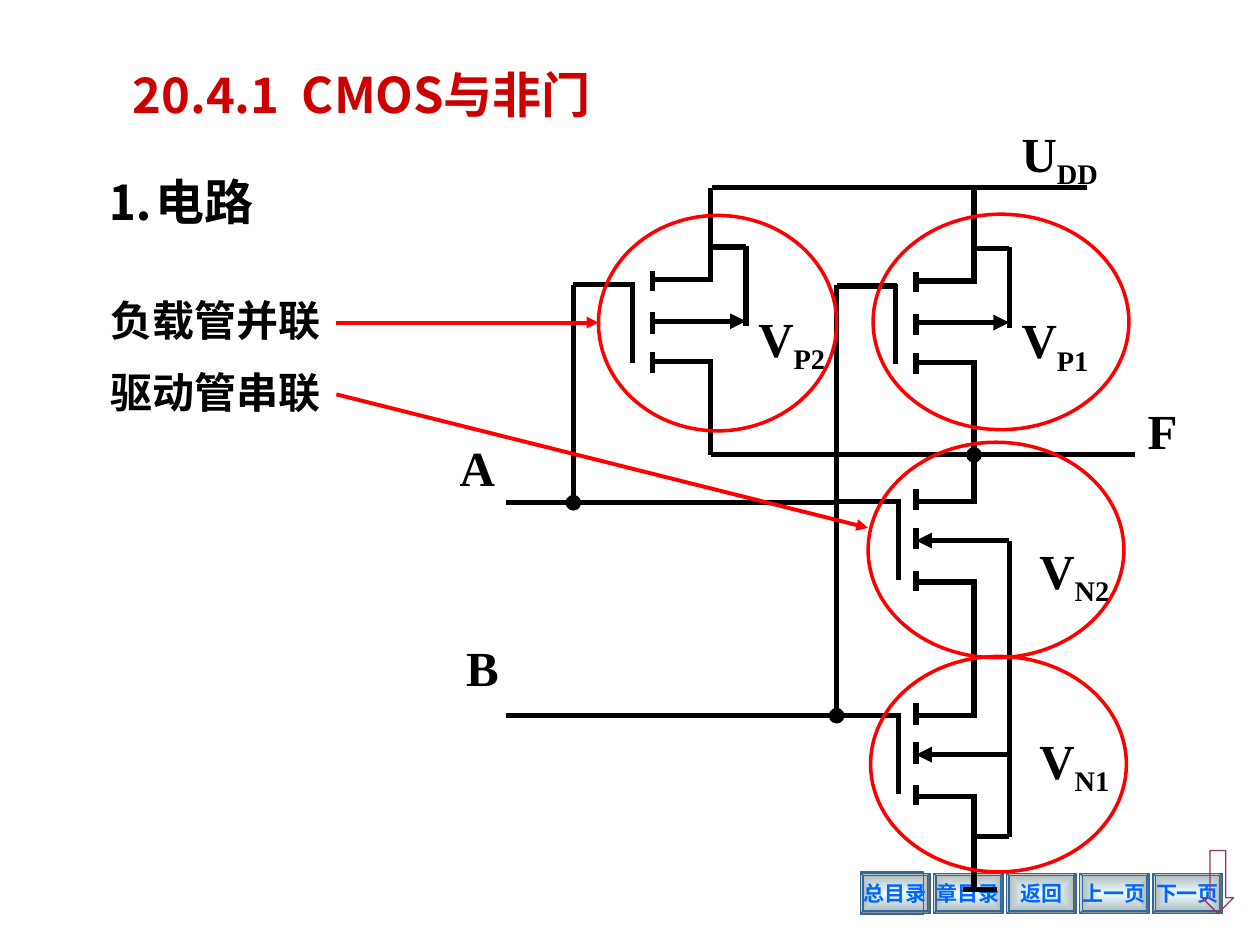
from typing import NamedTuple

from lxml import etree
from pptx import Presentation
from pptx.dml.color import RGBColor
from pptx.enum.shapes import MSO_CONNECTOR, MSO_SHAPE
from pptx.enum.text import MSO_ANCHOR, MSO_AUTO_SIZE, PP_ALIGN
from pptx.oxml import parse_xml
from pptx.oxml.ns import nsdecls, qn
from pptx.util import Inches, Pt

BLACK = RGBColor(0x00, 0x00, 0x00)
WHITE = RGBColor(0xFF, 0xFF, 0xFF)
RED = RGBColor(0xFF, 0x00, 0x00)
TITLE_RED = RGBColor(0xCC, 0x00, 0x00)
BUTTON_EDGE = RGBColor(0x33, 0x66, 0x99)
BUTTON_TEXT = RGBColor(0x00, 0x66, 0xFF)
PLUM = RGBColor(0x99, 0x33, 0x66)
SERIF, CHINESE = "Times New Roman", "Noto Sans CJK SC"
STRAIGHT = MSO_CONNECTOR.STRAIGHT
BEVEL, RECTANGLE = MSO_SHAPE.BEVEL, MSO_SHAPE.RECTANGLE
OVAL, DOWN_ARROW = MSO_SHAPE.OVAL, MSO_SHAPE.DOWN_ARROW
CENTER, MIDDLE = PP_ALIGN.CENTER, MSO_ANCHOR.MIDDLE
NO_AUTOSIZE = MSO_AUTO_SIZE.NONE

BUTTON_GRADIENT = (
    f'<a:gradFill {nsdecls("a")} rotWithShape="1"><a:gsLst>'
    '<a:gs pos="0"><a:srgbClr val="ECFDFE"/></a:gs>'
    '<a:gs pos="100000"><a:srgbClr val="AAB6B7"/></a:gs></a:gsLst>'
    '<a:path path="rect"><a:fillToRect l="50000" t="50000" r="50000" b="50000"/>'
    '</a:path></a:gradFill>'
)


class Wire(NamedTuple):
    x1: float
    y1: float
    x2: float
    y2: float
    head: str = ""
    tail: str = ""


class Label(NamedTuple):
    left: float
    top: float
    width: float
    height: float
    text: str
    subscript: str = ""
    size: int = 28


# Transistor wires, measured from the corner of the channel and the upper lead
P_CHANNEL = [
    Wire(-0.16, 0.02, -0.16, 0.66), Wire(-0.63, 0.04, -0.15, 0.04),
    Wire(0, -0.07, 0, 0.09), Wire(0, 0.26, 0, 0.43), Wire(0, 0.57, 0, 0.74),
    Wire(0, 0, 0.48, 0), Wire(0, 0.65, 0.48, 0.65),
    Wire(0, 0.33, 0.74, 0.33, tail="triangle"),
    Wire(0.46, 0.02, 0.46, -0.73), Wire(0.46, 1.39, 0.46, 0.64),
    Wire(0.74, -0.27, 0.74, 0.37), Wire(0.48, -0.26, 0.74, -0.26),
]
N_CHANNEL = [
    Wire(-0.14, -0.02, -0.14, 0.62), Wire(-0.63, 0, -0.15, 0),
    Wire(0, -0.1, 0, 0.07), Wire(0, 0.21, 0, 0.38), Wire(0, 0.55, 0, 0.71),
    Wire(0, 0, 0.48, 0), Wire(0, 0.64, 0.48, 0.64),
    Wire(0, 0.31, 0.74, 0.31, head="triangle"),
    Wire(0.46, 0.01, 0.46, -0.74), Wire(0.46, 1.4, 0.46, 0.65),
    Wire(0.74, 0.31, 0.74, 0.96),
]
TRANSISTORS = [(P_CHANNEL, 5.18, 2.22), (P_CHANNEL, 7.27, 2.23),
               (N_CHANNEL, 7.27, 3.98), (N_CHANNEL, 7.27, 5.68)]
CIRCUIT_WIRES = [
    Wire(5.65, 1.49, 8.63, 1.49), Wire(8.01, 4.94, 8.01, 6.06),
    Wire(6.64, 2.26, 6.64, 5.68), Wire(6.64, 5.68, 4.02, 5.68, head="oval"),
    Wire(6.64, 3.99, 4.02, 3.99), Wire(4.55, 2.26, 4.55, 3.99, tail="oval"),
    Wire(8.01, 6.64, 7.74, 6.64), Wire(7.91, 7.06, 7.64, 7.06),
    Wire(7.73, 3.61, 5.64, 3.61, head="oval"), Wire(9.01, 3.61, 7.77, 3.61),
]
CIRCUIT_LABELS = [
    Label(8.01, 0.93, 0.95, 0.63, "U", "DD"),
    Label(5.92, 2.4, 1, 0.63, "V", "P2"), Label(8.01, 2.41, 1, 0.63, "V", "P1"),
    Label(8.15, 4.24, 0.95, 0.63, "V", "N2"), Label(8.15, 5.75, 0.95, 0.63, "V", "N1"),
    Label(3.55, 3.42, 0.47, 0.57, "A"), Label(3.6, 5.01, 0.42, 0.57, "B"),
    Label(9.01, 3.13, 0.47, 0.57, "F"), Label(0.75, 1.31, 2.04, 0.57, "⒈电路"),
]
RINGS = [(4.75, 1.71, 1.89), (6.93, 1.7, 2.03), (6.89, 3.51, 2.03), (6.91, 5.21, 2.03)]
RING_HEIGHT = 1.71
NOTES = [
    (Label(0.78, 2.29, 1.89, 0.54, "负载管并联", size=24), (4.75, 2.56)),
    (Label(0.78, 2.86, 1.89, 0.54, "驱动管串联", size=24), (6.89, 4.19)),
]
BUTTONS = ["总目录", "章目录", "返回", "上一页", "下一页"]
BUTTON_LEFT, BUTTON_STEP = 6.83, 0.58


def add_run(paragraph, text: str, size: int, color=BLACK, latin: str = SERIF):
    run = paragraph.add_run()
    run.text = text
    for name, value in {"size": Pt(size), "bold": True, "name": latin}.items():
        setattr(run.font, name, value)
    run.font.color.rgb = color
    properties = run._r.get_or_add_rPr()
    etree.SubElement(properties, qn("a:ea")).set("typeface", CHINESE)
    return properties


def add_line(slide, wire: Wire, color=BLACK, width: float = 3):
    connector = slide.shapes.add_connector(
        STRAIGHT, *(Inches(value) for value in wire[:4]))
    connector.line.color.rgb = color
    connector.line.width = Pt(width)
    line = connector.line._get_or_add_ln()
    for tag, kind in (("a:headEnd", wire.head), ("a:tailEnd", wire.tail)):
        if kind:
            etree.SubElement(line, qn(tag)).set("type", kind)
    etree.SubElement(connector._element.spPr, qn("a:effectLst"))
    return connector


def add_outline(slide, kind, box: tuple, color, width: float = 0.75):
    shape = slide.shapes.add_shape(kind, *(Inches(value) for value in box))
    shape.shadow.inherit = False
    shape.fill.background()
    shape.line.color.rgb = color
    shape.line.width = Pt(width)
    return shape


def add_label(slide, label: Label):
    box = slide.shapes.add_textbox(*(Inches(value) for value in label[:4]))
    box.text_frame.word_wrap = True
    paragraph = box.text_frame.paragraphs[0]
    add_run(paragraph, label.text, label.size)
    if label.subscript:
        add_run(paragraph, label.subscript, label.size).set("baseline", "-25000")
    return box


def add_button(slide, left: float, text: str) -> None:
    button = add_outline(slide, BEVEL, (left, 6.93, 0.55, 0.32), BUTTON_EDGE)
    button.adjustments[0] = 0.06
    properties = button._element.spPr
    properties.replace(properties.find(qn("a:noFill")), parse_xml(BUTTON_GRADIENT))
    frame = button.text_frame
    frame.word_wrap = False
    frame.vertical_anchor = MIDDLE
    frame.paragraphs[0].alignment = CENTER
    add_run(frame.paragraphs[0], text, 12, BUTTON_TEXT)


def add_title(slide, text: str) -> None:
    title = slide.shapes.title
    place = {"left": 0.51, "top": 0.44, "width": 4.72, "height": 0.61}
    for name, value in place.items():
        setattr(title, name, Inches(value))
    title.fill.solid()
    title.fill.fore_color.rgb = WHITE
    frame = title.text_frame
    frame.auto_size = NO_AUTOSIZE
    frame.vertical_anchor = MIDDLE
    frame.paragraphs[0].alignment = CENTER
    add_run(frame.paragraphs[0], text, 28, TITLE_RED, CHINESE)


def main() -> None:
    presentation = Presentation()
    presentation.slide_width, presentation.slide_height = Inches(10), Inches(7.5)
    slide = presentation.slides.add_slide(presentation.slide_layouts[5])

    # Navigation buttons and title
    for index, text in enumerate(BUTTONS):
        add_button(slide, BUTTON_LEFT + index * BUTTON_STEP, text)
    add_outline(slide, RECTANGLE, (BUTTON_LEFT, 6.92, 0.5, 0.34), BUTTON_EDGE)
    add_title(slide, "20.4.1  CMOS与非门")

    # Circuit
    for wires, x, y in TRANSISTORS:
        for wire in wires:
            add_line(slide, Wire(wire.x1 + x, wire.y1 + y, wire.x2 + x, wire.y2 + y,
                                 wire.head, wire.tail))
    for wire in CIRCUIT_WIRES:
        add_line(slide, wire)
    for label in CIRCUIT_LABELS:
        add_label(slide, label)

    # Red rings and the notes pointing at them
    for left, top, width in RINGS:
        add_outline(slide, OVAL, (left, top, width, RING_HEIGHT), RED, 2)
    for label, target in NOTES:
        box = add_label(slide, label)
        start = (label.left + label.width, label.top + label.height / 2)
        arrow = add_line(slide, Wire(*start, *target, tail="triangle"), RED, 2.25)
        arrow.begin_connect(box, 3)

    # Continue arrow
    add_outline(slide, DOWN_ARROW, (9.54, 6.75, 0.25, 0.5), PLUM)
    presentation.save("out.pptx")


if __name__ == "__main__":
    main()
